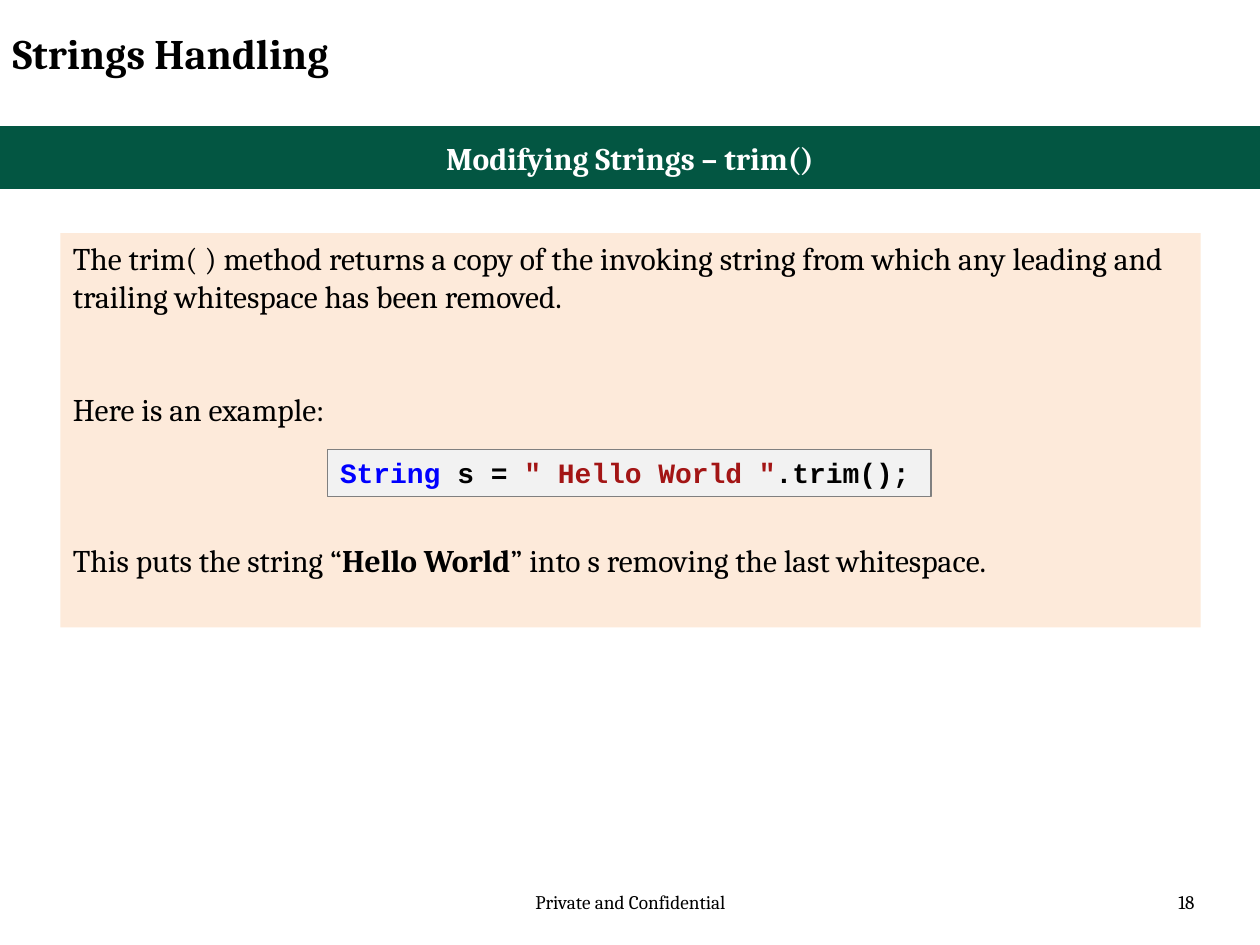
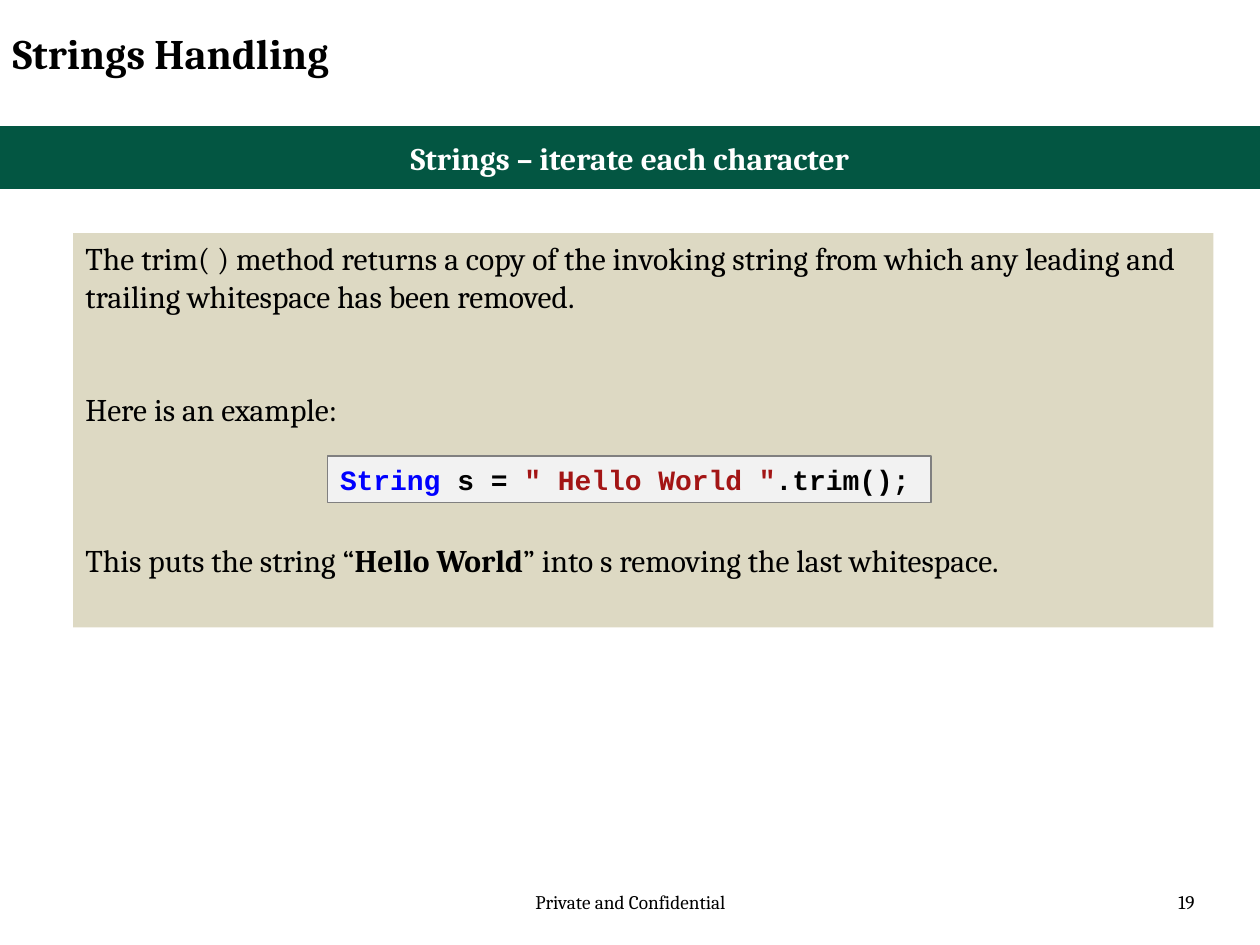
from pptx import Presentation
from pptx.dml.color import RGBColor
from pptx.enum.shapes import MSO_SHAPE
from pptx.enum.text import MSO_ANCHOR, MSO_AUTO_SIZE, PP_ALIGN
from pptx.util import Inches, Pt

LEFT, CENTER, RIGHT = PP_ALIGN.LEFT, PP_ALIGN.CENTER, PP_ALIGN.RIGHT
TOP, MIDDLE = MSO_ANCHOR.TOP, MSO_ANCHOR.MIDDLE
FIXED_SIZE, GROW = MSO_AUTO_SIZE.NONE, MSO_AUTO_SIZE.SHAPE_TO_FIT_TEXT
RECTANGLE = MSO_SHAPE.RECTANGLE

TEXT_FONT, CODE_FONT = "Cambria", "Courier New"
BLACK, WHITE, GREEN = "000000", "FFFFFF", "035642"
PEACH, KHAKI = "FDEADA", "DDD9C3"
CODE_FILL, CODE_LINE, KEYWORD, LITERAL = "F2F2F2", "808080", "0000FF", "A31515"

TITLE_LAYOUT = 5
LINE_HEIGHT = 21.5  # points taken by one line of body text

TITLE = "Strings Handling"
FOOTER = "Private and Confidential"
FIRST_NUMBER = 18

# Each paragraph: lines of space before it, then (text, bold) runs
EXPLANATION = [
    (0, [("The trim( ) method returns a copy of the invoking string from which "
          "any leading and trailing whitespace has been removed.", False)]),
    (2, [("Here is an example:", False)]),
    (3, [("This puts the string “", False), ("Hello World", True),
         ("” into s removing the last whitespace.", False)]),
]
CODE = [("String", KEYWORD), (" s = ", BLACK),
        ('" Hello World "', LITERAL), (".trim();", BLACK)]

PAGES = [
    {"heading": "Modifying Strings – trim()", "fill": PEACH,
     "panel_left": 0.48, "code_top": 3.57},
    {"heading": "Strings – iterate each character", "fill": KHAKI,
     "panel_left": 0.58, "code_top": 3.62},
]


def color(hex_value):
    return RGBColor.from_string(hex_value)


def format_run(run, size, font=TEXT_FONT, hex_value=BLACK, bold=False):
    run.font.name = font
    run.font.size = Pt(size)
    run.font.bold = bold
    run.font.color.rgb = color(hex_value)


def add_span(para, text, size, **style):
    span = para.add_run()
    span.text = text
    format_run(span, size, **style)


def write_line(frame, text, size, align=LEFT, **style):
    frame.text = text
    para = frame.paragraphs[0]
    para.alignment = align
    format_run(para.runs[0], size, **style)


def add_box(page, place, fill, line=None, anchor=TOP):
    box = page.shapes.add_shape(RECTANGLE, *map(Inches, place))
    box.shadow.inherit = False
    box.fill.solid()
    box.fill.fore_color.rgb = color(fill)
    if line:
        box.line.color.rgb = color(line)
        box.line.width = Pt(0.75)
    else:
        box.line.fill.background()
    box.text_frame.word_wrap = True
    box.text_frame.auto_size = GROW
    box.text_frame.vertical_anchor = anchor
    box.text_frame.paragraphs[0].alignment = LEFT
    return box


def add_title(page):
    title = page.shapes.title
    title.left, title.top, title.width, title.height = map(
        Inches, (0, 0.17, 7.58, 0.62))
    frame = title.text_frame
    frame.auto_size = FIXED_SIZE
    frame.vertical_anchor = TOP
    write_line(frame, TITLE, 24, bold=True)


def add_footer(page, number):
    for text, left, width, align in ((FOOTER, 3.42, 3.17, CENTER),
                                     (str(number), 7.25, 2.33, RIGHT)):
        box = page.shapes.add_textbox(*map(Inches, (left, 7.02, width, 0.4)))
        box.text_frame.word_wrap = True
        write_line(box.text_frame, text, 11, align)


def add_explanation(page, left, fill):
    frame = add_box(page, (left, 1.85, 9.05, 3.13), fill).text_frame
    frame.auto_size = FIXED_SIZE
    for index, (lines_before, spans) in enumerate(EXPLANATION):
        para = frame.add_paragraph() if index else frame.paragraphs[0]
        para.alignment = LEFT
        para.space_before = Pt(lines_before * LINE_HEIGHT)
        for text, bold in spans:
            add_span(para, text, 18, bold=bold)


def add_code(page, top):
    frame = add_box(page, (2.6, top, 4.79, 0.37), CODE_FILL, CODE_LINE).text_frame
    frame.word_wrap = False
    for text, hex_value in CODE:
        add_span(frame.paragraphs[0], text, 16, font=CODE_FONT,
                 hex_value=hex_value, bold=True)


def add_band(page, heading):
    frame = add_box(page, (0, 1, 10, 0.5), GREEN, anchor=MIDDLE).text_frame
    frame.margin_top = frame.margin_bottom = Inches(0.1)
    write_line(frame, heading, 18, CENTER, hex_value=WHITE, bold=True)


def main():
    deck = Presentation()
    deck.slide_width, deck.slide_height = Inches(10), Inches(7.5)
    for number, content in enumerate(PAGES, FIRST_NUMBER):
        page = deck.slides.add_slide(deck.slide_layouts[TITLE_LAYOUT])
        add_footer(page, number)
        add_title(page)
        add_explanation(page, content["panel_left"], content["fill"])
        add_code(page, content["code_top"])
        add_band(page, content["heading"])
    deck.save("out.pptx")


if __name__ == "__main__":
    main()
